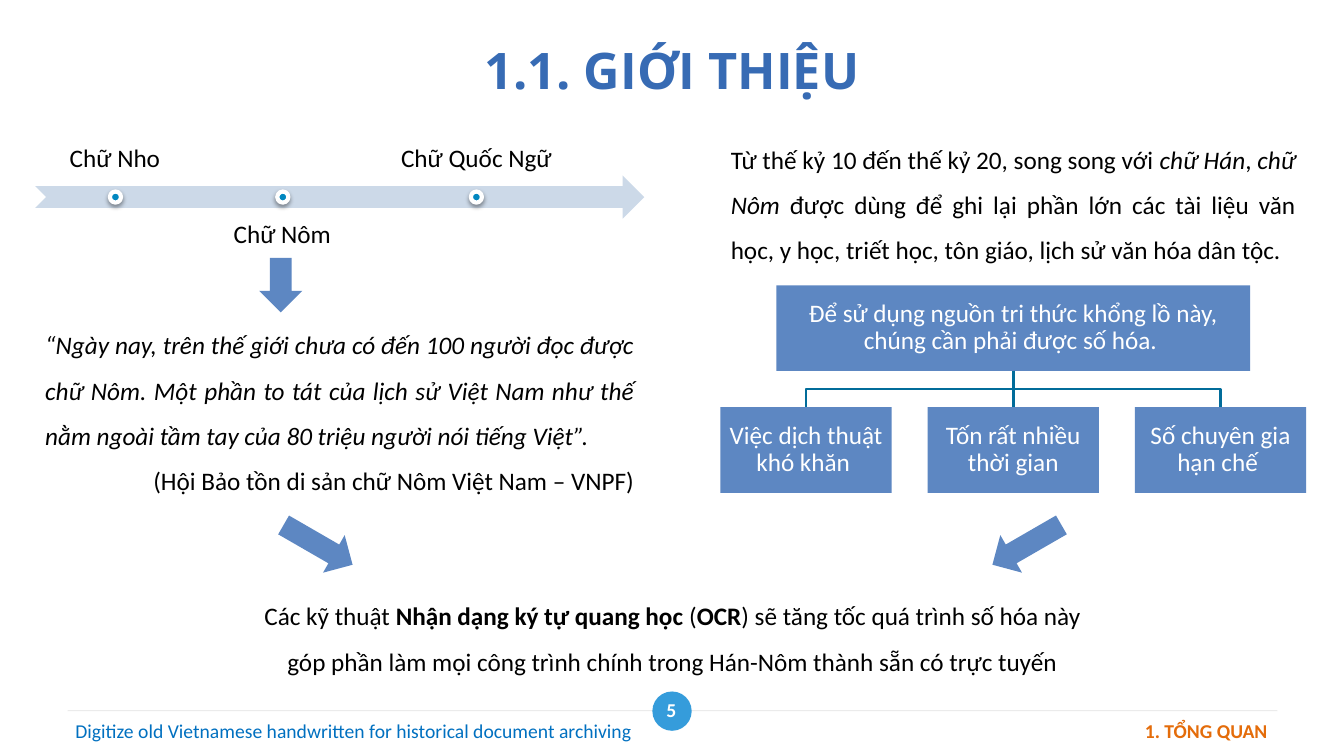
"""Build the introduction slide on the history and digitization of Nôm script."""
from dataclasses import dataclass

from lxml.etree import SubElement
from pptx import Presentation
from pptx.dml.color import RGBColor
from pptx.enum.shapes import MSO_CONNECTOR, MSO_SHAPE
from pptx.enum.text import MSO_ANCHOR, PP_ALIGN
from pptx.oxml.ns import qn
from pptx.shapes.autoshape import Shape
from pptx.shapes.connector import Connector
from pptx.slide import Slide
from pptx.util import Inches, Pt

BLACK = RGBColor(0x00, 0x00, 0x00)
WHITE = RGBColor(0xFF, 0xFF, 0xFF)
TITLE_BLUE = RGBColor(0x37, 0x6B, 0xB4)
BOX_BLUE = RGBColor(0x5D, 0x87, 0xC2)
TREE_LINE = RGBColor(0x01, 0x6C, 0x9A)
TIMELINE = RGBColor(0xCC, 0xD9, 0xE8)
DOT = RGBColor(0x01, 0x87, 0xC0)
BADGE = RGBColor(0x35, 0x9C, 0xDB)
FOOTER_BLUE = RGBColor(0x00, 0x70, 0xC0)
ORANGE = RGBColor(0xE4, 0x6C, 0x0A)
RULE_GRAY = RGBColor(0xD9, 0xD9, 0xD9)

LEFT, CENTER, RIGHT = PP_ALIGN.LEFT, PP_ALIGN.CENTER, PP_ALIGN.RIGHT
JUSTIFY = PP_ALIGN.JUSTIFY
TOP, MIDDLE, BOTTOM = MSO_ANCHOR.TOP, MSO_ANCHOR.MIDDLE, MSO_ANCHOR.BOTTOM

Box = tuple[float, float, float, float]


@dataclass(frozen=True)
class Run:
    text: str
    bold: bool = False
    italic: bool = False


@dataclass(frozen=True)
class Para:
    runs: tuple[Run, ...]
    align: PP_ALIGN = LEFT
    spacing: float = 1.0


@dataclass(frozen=True)
class Style:
    size: int = 18
    color: RGBColor = BLACK
    font: str = "Calibri"
    anchor: MSO_ANCHOR = TOP
    inset: tuple[float, float] = (0.1, 0.05)


@dataclass(frozen=True)
class Stage:
    name: str
    box: Box
    dot_left: float
    anchor: MSO_ANCHOR


BODY = Style()
NODE = Style(color=WHITE, anchor=MIDDLE, inset=(0.01, 0.01))

STAGES = (
    Stage("Chữ Nho", (0.35, 1.42, 1.58, 0.43), 1.09, BOTTOM),
    Stage("Chữ Nôm", (2.01, 2.06, 1.58, 0.43), 2.75, TOP),
    Stage("Chữ Quốc Ngữ", (3.67, 1.42, 2.11, 0.43), 4.67, BOTTOM),
)
ARROWS = (
    ((2.57, 2.56, 0.43, 0.54), 0),
    ((2.94, 5.01, 0.43, 0.79), 300),
    ((9.97, 5.01, 0.43, 0.79), 60),
)
PROBLEMS = ("Việc dịch thuật khó khăn ", "Tốn rất nhiều thời gian", "Số chuyên gia hạn chế ")
ROOT_X, ROOT_BOTTOM, CHILD_TOP, CHILD_STEP = 10.05, 3.68, 4.04, 2.055
CHILD_W, NODE_H = 1.7, 0.85


def write(sp: Shape, style: Style, *paras: Para) -> None:
    tf = sp.text_frame
    tf.word_wrap = True
    tf.vertical_anchor = style.anchor
    tf.margin_left = tf.margin_right = Inches(style.inset[0])
    tf.margin_top = tf.margin_bottom = Inches(style.inset[1])
    for i, para in enumerate(paras):
        p = tf.add_paragraph() if i else tf.paragraphs[0]
        p.alignment, p.line_spacing = para.align, para.spacing
        f = p.font
        f.size, f.name, f.color.rgb = Pt(style.size), style.font, style.color
        uniform = len({(run.bold, run.italic) for run in para.runs}) == 1
        for run in para.runs:
            r = p.add_run()
            r.text = run.text
            target = f if uniform else r.font
            target.bold, target.italic = run.bold, run.italic


def add_text(s: Slide, box: Box, style: Style, *paras: Para) -> None:
    write(s.shapes.add_textbox(*map(Inches, box)), style, *paras)


def add_shape(s: Slide, kind: MSO_SHAPE, box: Box, fill: RGBColor) -> Shape:
    sp = s.shapes.add_shape(kind, *map(Inches, box))
    sp.shadow.inherit = False
    sp.fill.solid()
    sp.fill.fore_color.rgb = fill
    sp.line.fill.background()
    return sp


def add_line(s: Slide, x1: float, y1: float, x2: float, y2: float,
             color: RGBColor, width: float) -> Connector:
    line = s.shapes.add_connector(MSO_CONNECTOR.STRAIGHT, *map(Inches, (x1, y1, x2, y2)))
    line.line.color.rgb, line.line.width = color, Pt(width)
    SubElement(line._element.spPr, qn("a:effectLst"))
    return line


def add_alpha(color_parent, percent: int) -> None:
    SubElement(color_parent.find(qn("a:srgbClr")), qn("a:alpha"), val=str(percent * 1000))


def add_dot(s: Slide, left: float) -> None:
    sp = add_shape(s, MSO_SHAPE.OVAL, (left, 1.9, 0.11, 0.11), DOT)
    sp.line.color.rgb, sp.line.width = WHITE, Pt(3)
    effects = sp._element.spPr.find(qn("a:effectLst"))
    shadow = SubElement(effects, qn("a:outerShdw"), blurRad=str(Pt(3.1)),
                        dist=str(Pt(1.6)), dir="5400000", rotWithShape="0")
    SubElement(shadow, qn("a:srgbClr"), val=str(BLACK))
    add_alpha(shadow, 38)


def add_node(s: Slide, box: Box, text: str) -> Shape:
    sp = add_shape(s, MSO_SHAPE.RECTANGLE, box, BOX_BLUE)
    write(sp, NODE, Para((Run(text),), CENTER, 0.9))
    return sp


def add_branch(s: Slide, x: float) -> None:
    mid = (ROOT_BOTTOM + CHILD_TOP) / 2
    fb = s.shapes.build_freeform(Inches(ROOT_X), Inches(ROOT_BOTTOM))
    corners = ((ROOT_X, mid), (x, mid), (x, CHILD_TOP))
    fb.add_line_segments([(Inches(a), Inches(b)) for a, b in corners], close=False)
    sp = fb.convert_to_shape()
    sp.shadow.inherit = False
    sp.fill.background()
    sp.line.color.rgb, sp.line.width = TREE_LINE, Pt(2)


def add_tree(s: Slide) -> None:
    root = add_node(s, (7.7, 2.83, 4.7, NODE_H),
                    "Để sử dụng nguồn tri thức khổng lồ này, chúng cần phải được số hóa. ")
    for i, problem in enumerate(PROBLEMS):
        x = ROOT_X + (i - 1) * CHILD_STEP
        child = add_node(s, (x - CHILD_W / 2, CHILD_TOP, CHILD_W, NODE_H), problem)
        if x == ROOT_X:
            line = add_line(s, x, ROOT_BOTTOM, x, CHILD_TOP, TREE_LINE, 2)
            line.begin_connect(root, 2)
            line.end_connect(child, 0)
        else:
            add_branch(s, x)


def add_frame(s: Slide) -> None:
    rule = add_line(s, 0.67, 7.05, 12.67, 7.05, RULE_GRAY, 0.75)
    add_alpha(rule._element.spPr.find(qn("a:ln")).find(qn("a:solidFill")), 50)
    add_shape(s, MSO_SHAPE.OVAL, (6.47, 6.86, 0.39, 0.39), BADGE)
    add_text(s, (6.38, 6.83, 0.56, 0.42), Style(14, WHITE, anchor=MIDDLE, inset=(0.13, 0.07)),
             Para((Run("5", bold=True),), CENTER))
    add_text(s, (1.73, 0.3, 9.87, 0.78), Style(36, TITLE_BLUE, "Open Sans", MIDDLE, (0.13, 0.07)),
             Para((Run("1.1. GIỚI THIỆU", bold=True),), CENTER))
    add_text(s, (0.65, 7.08, 5.93, 0.34), Style(14, FOOTER_BLUE),
             Para((Run("Digitize old Vietnamese handwritten for historical document archiving"),)))
    add_text(s, (6.95, 7.08, 5.72, 0.34), Style(14, ORANGE),
             Para((Run("1. TỔNG QUAN", bold=True),), RIGHT))


def main() -> None:
    prs = Presentation()
    prs.slide_width, prs.slide_height = Inches(13.33), Inches(7.5)
    s = prs.slides.add_slide(prs.slide_layouts[6])
    add_frame(s)
    add_shape(s, MSO_SHAPE.NOTCHED_RIGHT_ARROW, (0.35, 1.74, 6.04, 0.43), TIMELINE)
    for stage in STAGES:
        add_text(s, stage.box, Style(anchor=stage.anchor, inset=(0.14, 0.14)),
                 Para((Run(stage.name),), CENTER, 0.9))
        add_dot(s, stage.dot_left)
    add_text(s, (0.35, 3.07, 6.04, 1.87), BODY,
             Para((Run("“Ngày nay, trên thế giới chưa có đến 100 người đọc được chữ Nôm. "
                       "Một phần to tát của lịch sử Việt Nam như thế nằm ngoài tầm tay "
                       "của 80 triệu người nói tiếng Việt”.", italic=True),), JUSTIFY, 1.5),
             Para((Run("(Hội Bảo tồn di sản chữ Nôm Việt Nam – VNPF)"),), RIGHT, 1.5))
    add_text(s, (7.15, 1.23, 5.8, 1.42), BODY,
             Para((Run("Từ thế kỷ 10 đến thế kỷ 20, song song với "), Run("chữ Hán", italic=True),
                   Run(", "), Run("chữ Nôm ", italic=True),
                   Run("được dùng để ghi lại phần lớn các tài liệu văn học, y học, "
                       "triết học, tôn giáo, lịch sử văn hóa dân tộc. ")), JUSTIFY, 1.5))
    add_tree(s)
    add_text(s, (2.5, 5.76, 8.34, 0.96), BODY,
             Para((Run("Các kỹ thuật "), Run("Nhận dạng ký tự quang học ", bold=True), Run("("),
                   Run("OCR", bold=True),
                   Run(") sẽ tăng tốc quá trình số hóa này góp phần làm mọi công trình chính "
                       "trong Hán-Nôm thành sẵn có trực tuyến")), CENTER, 1.5))
    for box, angle in ARROWS:
        add_shape(s, MSO_SHAPE.DOWN_ARROW, box, BOX_BLUE).rotation = angle
    prs.save("out.pptx")


if __name__ == "__main__":
    main()
